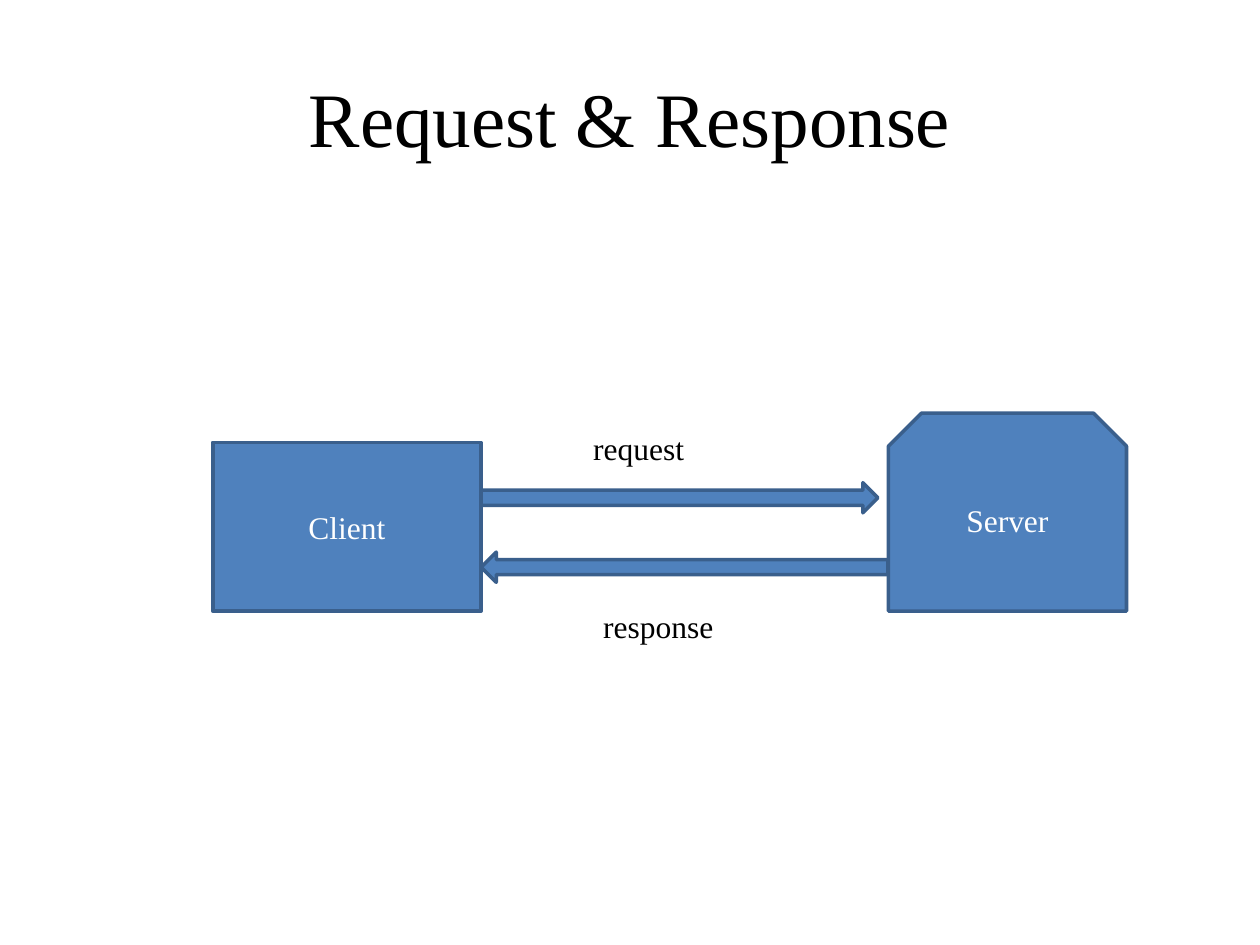
import pptx
import pptx.util
import pptx.dml.color
import pptx.enum.shapes
import pptx.enum.text

Cm = pptx.util.Cm
Kind = pptx.enum.shapes.MSO_SHAPE
Align = pptx.enum.text.PP_ALIGN
Anchor = pptx.enum.text.MSO_ANCHOR
COLORS = {"fill": "4F81BD", "edge": "3A5F8C", "dark": "000000", "light": "FFFFFF"}


def rgb(name):
    return pptx.dml.color.RGBColor.from_string(COLORS[name])


def write(shape, text, size=18, color="dark", align=Align.CENTER, anchor=Anchor.MIDDLE):
    frame = shape.text_frame
    frame.word_wrap = True
    frame.vertical_anchor = anchor
    frame.text = text
    par = frame.paragraphs[0]
    par.alignment = align
    par.font.size = pptx.util.Pt(size)
    par.font.name = "Times New Roman"
    par.font.color.rgb = rgb(color)


deck = pptx.Presentation()
deck.slide_width, deck.slide_height = Cm(25.4), Cm(19.05)
slide = deck.slides.add_slide(deck.slide_layouts[5])

title = slide.shapes.title
title.left, title.top, title.width, title.height = Cm(1.27), Cm(0.76), Cm(22.86), Cm(3.18)
write(title, "Request & Response", size=44)

# Client and server with the two arrows between them
parts = [
    (Kind.SNIP_2_SAME_RECTANGLE, 17.91, 8.33, 4.8, 3.99, "Server"),
    (Kind.FLOWCHART_PROCESS, 4.29, 8.92, 5.41, 3.4, "Client"),
    (Kind.RIGHT_ARROW, 9.7, 9.73, 8, 0.61, ""),
    (Kind.LEFT_ARROW, 9.7, 11.13, 8.2, 0.61, ""),
]
for kind, left, top, width, height, text in parts:
    shape = slide.shapes.add_shape(kind, Cm(left), Cm(top), Cm(width), Cm(height))
    shape.shadow.inherit = False
    shape.fill.solid()
    shape.fill.fore_color.rgb = rgb("fill")
    shape.line.color.rgb = rgb("edge")
    shape.line.width = pptx.util.Pt(2)
    if text:
        write(shape, text, color="light")

for text, left, top in [("request", 11.71, 8.53), ("response", 11.91, 12.12)]:
    label = slide.shapes.add_textbox(Cm(left), Cm(top), Cm(3.81), Cm(1.02))
    write(label, text, align=Align.LEFT, anchor=Anchor.TOP)
    label.text_frame.auto_size = pptx.enum.text.MSO_AUTO_SIZE.SHAPE_TO_FIT_TEXT

deck.save("out.pptx")
